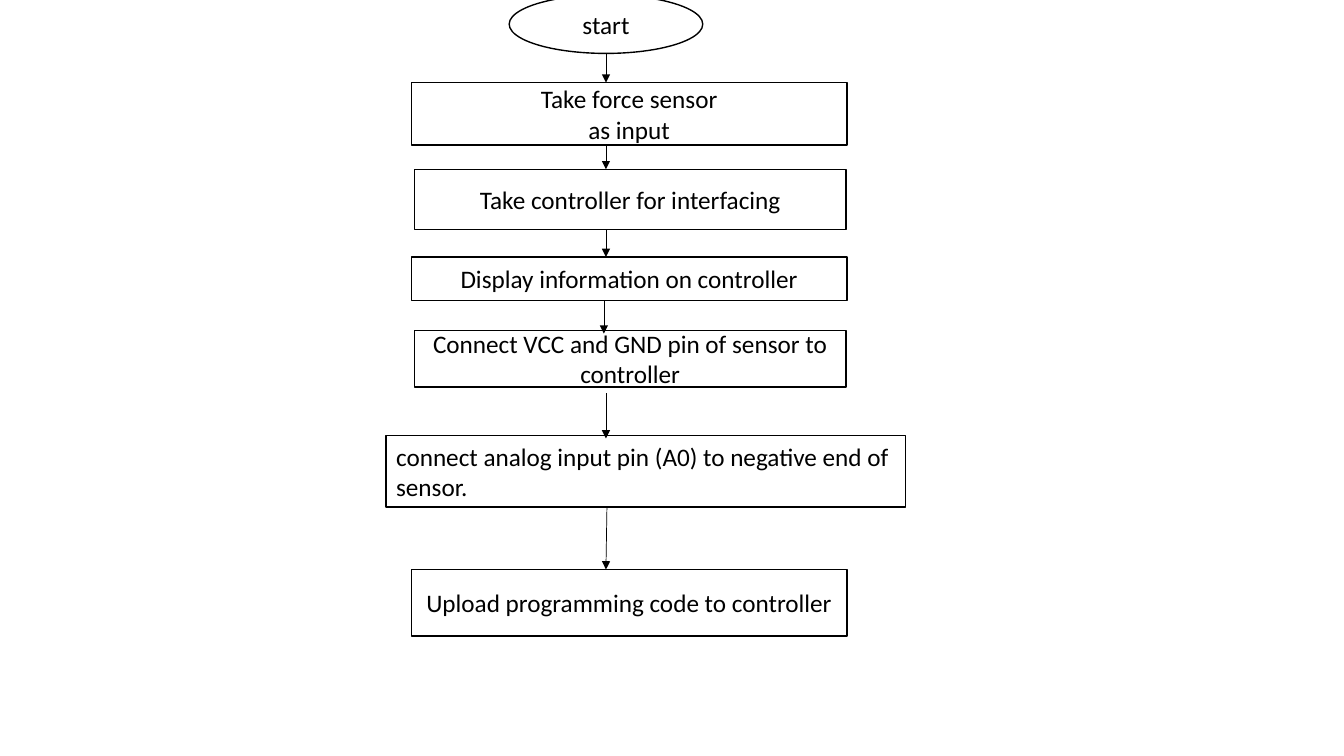
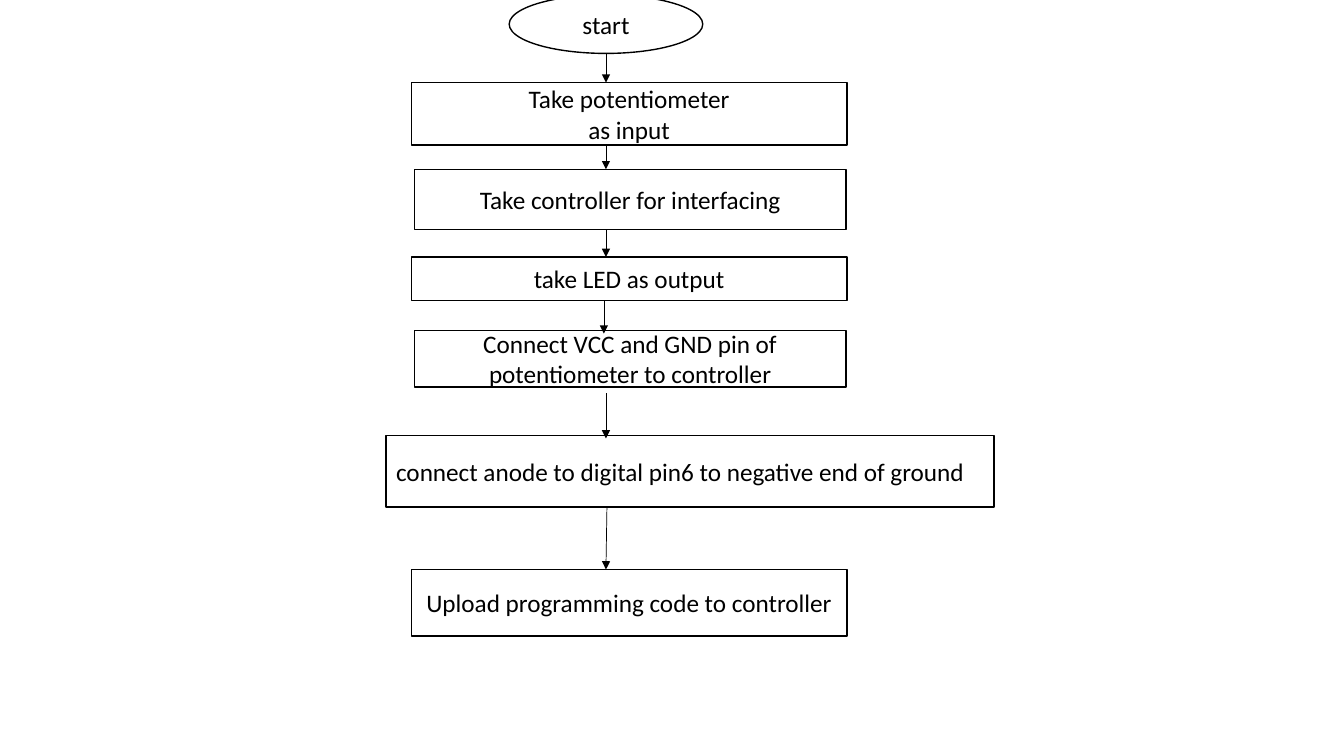
from lxml.etree import SubElement
from pptx import Presentation
from pptx.dml.color import RGBColor
from pptx.enum.shapes import MSO_CONNECTOR, MSO_SHAPE
from pptx.enum.text import MSO_ANCHOR, PP_ALIGN
from pptx.oxml.ns import qn
from pptx.util import Inches, Pt

BLACK = RGBColor(0, 0, 0)
WHITE = RGBColor(255, 255, 255)
FONT = "Calibri"

# One list of step texts per slide, top to bottom
FLOWCHARTS = [
    [
        "start",
        "Take force sensor\nas input",
        "Take controller for interfacing",
        "Display information on controller",
        "Connect VCC and GND pin of sensor to controller",
        "connect analog input pin (A0) to negative end of sensor.",
        "Upload programming code to controller",
    ],
    [
        "start",
        "Take potentiometer\nas input",
        "Take controller for interfacing",
        "take LED as output",
        "Connect VCC and GND pin of potentiometer to controller",
        "connect anode to digital pin6 to negative end of ground",
        "Upload programming code to controller",
    ],
]

# Left and width of each kind of step
START = (5.05, 1.92)
WIDE = (4.08, 4.32)
NARROW = (4.11, 4.28)
WIRING_LEFT = 3.83
WIRING_WIDTHS = [5.15, 6.03]  # one per slide

# Top and height of each step
ROWS = [(-0.05, 0.58), (0.82, 0.62), (1.68, 0.6), (2.55, 0.43),
        (3.28, 0.56), (4.32, 0.71), (5.65, 0.66)]

# Per arrow: start x, end x, gap below its step, overlap into the next step
ARROWS = [(6.01, 6.01, 0, 0), (6.01, 6.01, 0, 0), (6.01, 6.01, 0, 0),
          (5.99, 5.99, 0, 0.03), (6.01, 6.01, 0.06, 0.03), (6.02, 6.01, 0, 0)]


def add_step(slide, kind, box, text, alignment):
    shape = slide.shapes.add_shape(kind, *(Inches(length) for length in box))
    shape.shadow.inherit = False
    shape.fill.solid()
    shape.fill.fore_color.rgb = WHITE
    shape.line.color.rgb = BLACK
    shape.line.width = Pt(1)
    text_frame = shape.text_frame
    text_frame.text = text
    text_frame.word_wrap = True
    text_frame.vertical_anchor = MSO_ANCHOR.MIDDLE
    for paragraph in text_frame.paragraphs:
        paragraph.alignment = alignment
        for run in paragraph.runs:
            run.font.name = FONT
            run.font.size = Pt(18)
            run.font.color.rgb = BLACK


def add_arrow(slide, *ends):
    connector = slide.shapes.add_connector(
        MSO_CONNECTOR.STRAIGHT, *(Inches(length) for length in ends))
    connector.line.color.rgb = BLACK
    connector.line.width = Pt(0.5)
    properties = connector._element.spPr
    SubElement(properties.find(qn("a:ln")), qn("a:tailEnd"), type="triangle")
    SubElement(properties, qn("a:effectLst"))


def add_flowchart(presentation, texts, wiring_width):
    slide = presentation.slides.add_slide(presentation.slide_layouts[6])
    columns = [START, WIDE, NARROW, WIDE, NARROW,
               (WIRING_LEFT, wiring_width), WIDE]
    for text, column, (top, height) in zip(texts, columns, ROWS):
        left, width = column
        kind = MSO_SHAPE.OVAL if column == START else MSO_SHAPE.RECTANGLE
        alignment = PP_ALIGN.LEFT if left == WIRING_LEFT else PP_ALIGN.CENTER
        add_step(slide, kind, (left, top, width, height), text, alignment)
    for arrow, (top, height), (next_top, _) in zip(ARROWS, ROWS, ROWS[1:]):
        start_x, end_x, gap, overlap = arrow
        add_arrow(slide, start_x, top + height + gap, end_x, next_top + overlap)


def main():
    presentation = Presentation()
    presentation.slide_width = Inches(13.33)
    presentation.slide_height = Inches(7.5)
    for texts, wiring_width in zip(FLOWCHARTS, WIRING_WIDTHS):
        add_flowchart(presentation, texts, wiring_width)
    presentation.save("out.pptx")


if __name__ == "__main__":
    main()
